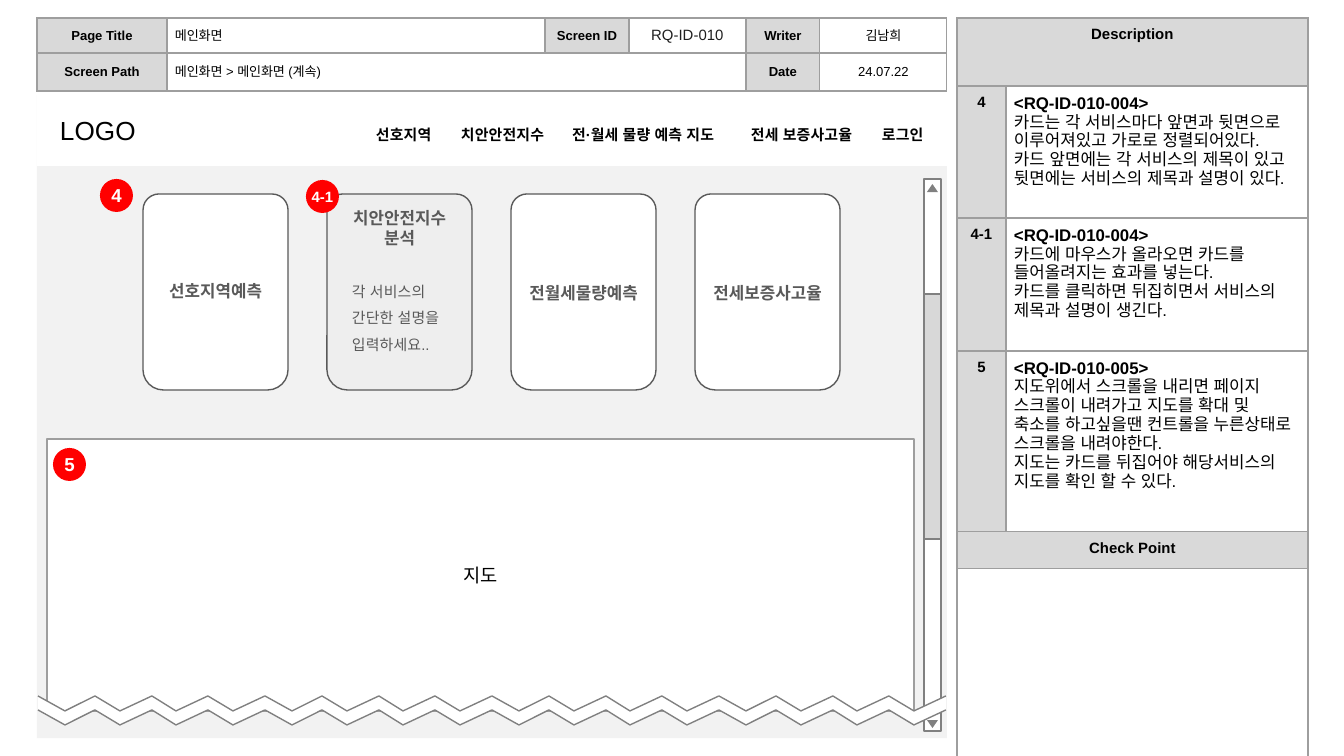
"""Build a wireframe specification slide for the second part of a main screen."""
import pptx
import pptx.util
import pptx.oxml.ns
import pptx.dml.color
import pptx.enum.shapes
import pptx.enum.text
import lxml.etree

PX = 6804
FONT = "Arial"
COLORS = {
    "white": "FFFFFF", "black": "000000", "red": "FF0000", "page": "F2F2F2",
    "label": "D9D9D9", "thumb": "D8D8D8", "flipped": "EEEEEE", "border": "9E9E9E",
    "control": "808080", "card": "595959", "identifier": "1F1F1F",
}
SHAPES = pptx.enum.shapes.MSO_SHAPE
ALIGN = pptx.enum.text.PP_ALIGN
MIDDLE = pptx.enum.text.MSO_ANCHOR.MIDDLE
TOP = pptx.enum.text.MSO_ANCHOR.TOP

presentation = pptx.Presentation()
presentation.slide_width = 1344 * PX
presentation.slide_height = 756 * PX
slide = presentation.slides.add_slide(presentation.slide_layouts[6])


def rgb(name):
    return pptx.dml.color.RGBColor.from_string(COLORS[name])


def add_text(paragraph, text, size=8, bold=False, color="black", align=ALIGN.CENTER, spacing=None):
    paragraph.alignment = align
    paragraph.line_spacing = spacing
    run = paragraph.add_run()
    run.text = text
    run.font.size = pptx.util.Pt(size)
    run.font.bold = bold
    run.font.color.rgb = rgb(color)
    run.font.name = FONT
    east_asian = lxml.etree.SubElement(run.font._element, pptx.oxml.ns.qn("a:ea"))
    east_asian.set("typeface", FONT)


def add_box(kind, left, top, width, height, fill=None, line=None, margin=13):
    bounds = [length * PX for length in (left, top, width, height)]
    if kind is None:
        shape = slide.shapes.add_textbox(*bounds)
    else:
        shape = slide.shapes.add_shape(kind, *bounds)
        shape.shadow.inherit = False
        shape.fill.solid()
        shape.fill.fore_color.rgb = rgb(fill)
        if line:
            shape.line.color.rgb = rgb(line)
            shape.line.width = pptx.util.Pt(0.75)
        else:
            shape.line.fill.background()
    frame = shape.text_frame
    frame.word_wrap = True
    frame.vertical_anchor = MIDDLE
    frame.margin_left = frame.margin_right = margin * PX
    frame.margin_top = frame.margin_bottom = margin * PX
    return shape


add_box(SHAPES.RECTANGLE, 37, 95, 910, 643, "page")

add_box(SHAPES.RECTANGLE, 924, 179, 17, 552, "white", "control")
add_box(SHAPES.ISOSCELES_TRIANGLE, 927, 184, 11, 8, "control")
down_arrow = add_box(SHAPES.ISOSCELES_TRIANGLE, 927, 720, 11, 8, "control")
down_arrow.rotation = 180
add_box(SHAPES.RECTANGLE, 924, 294, 17, 245, "thumb", "control")

cards = [
    ("선호지역예측", 267, 47, "white"),
    ("치안안전지수 분석", 194, 67, "flipped"),
    ("전월세물량예측", 269, 47, "white"),
    ("전세보증사고율", 269, 47, "white"),
]
for index, (title, title_top, title_height, fill) in enumerate(cards):
    left = 143 + index * 184
    card = add_box(SHAPES.ROUND_2_SAME_RECTANGLE, left, 194, 145, 196, fill, "card")
    card.adjustments[0] = 0.11
    card.adjustments[1] = 0.14
    title_box = add_box(None, left, title_top, 145, title_height)
    add_text(title_box.text_frame.paragraphs[0], title, size=9, bold=True, color="card")
summary = add_box(None, 339, 261, 122, 105)
add_text(summary.text_frame.paragraphs[0], "각 서비스의 간단한 설명을 입력하세요..",
         color="card", align=ALIGN.LEFT, spacing=1.5)

map_area = add_box(SHAPES.RECTANGLE, 47, 439, 867, 272, "white", "border")
add_text(map_area.text_frame.paragraphs[0], "지도", size=10)

header = add_box(SHAPES.RECTANGLE, 37, 94, 910, 72, "white")
header.text_frame.margin_left = 23 * PX
menu = header.text_frame.paragraphs[0]
add_text(menu, "LOGO", size=14, align=ALIGN.LEFT)
add_text(menu, "\t선호지역\t치안안전지수\t전·월세 물량 예측 지도\t전세 보증사고율\t로그인",
         bold=True, align=ALIGN.LEFT)
tab_list = lxml.etree.SubElement(menu._p.get_or_add_pPr(), pptx.oxml.ns.qn("a:tabLst"))
for position in (316, 401, 512, 691, 822):
    tab = lxml.etree.SubElement(tab_list, pptx.oxml.ns.qn("a:tab"))
    tab.set("pos", str(position * PX))
    tab.set("algn", "l")

for tile in range(4):
    columns = [38 + tile * 227 + offset for offset in (0, 27, 57, 82, 114, 138, 170, 195, 227)]
    upper = [(x, 711 if index % 2 else 696) for index, x in enumerate(columns)]
    lower = [(x, y + 14) for x, y in upper]
    band_builder = slide.shapes.build_freeform(*upper[0], scale=PX)
    band_builder.add_line_segments(upper[1:] + lower[::-1], close=True)
    band = band_builder.convert_to_shape()
    band.shadow.inherit = False
    band.fill.solid()
    band.fill.fore_color.rgb = rgb("white")
    band.line.fill.background()
    edge_builder = slide.shapes.build_freeform(*upper[0], scale=PX)
    edge_builder.add_line_segments(upper[1:], close=False)
    edge_builder.move_to(*lower[0])
    edge_builder.add_line_segments(lower[1:], close=False)
    edges = edge_builder.convert_to_shape()
    edges.shadow.inherit = False
    edges.fill.background()
    edges.line.color.rgb = rgb("control")
    edges.line.width = pptx.util.Pt(0.75)

for label, left, top, size in (("4", 100, 179, 10), ("5", 53, 448, 10), ("4-1", 306, 180, 8)):
    badge = add_box(SHAPES.OVAL, left, top, 33, 33, "red", margin=0)
    add_text(badge.text_frame.paragraphs[0], label, size=size, bold=True, color="white")

description_rows = [
    ["Description", ""],
    ["4", "<RQ-ID-010-004>\n카드는 각 서비스마다 앞면과 뒷면으로 이루어져있고 가로로 정렬되어있다.\n"
          "카드 앞면에는 각 서비스의 제목이 있고 뒷면에는 서비스의 제목과 설명이 있다."],
    ["4-1", "<RQ-ID-010-004>\n카드에 마우스가 올라오면 카드를 들어올려지는 효과를 넣는다.\n"
            "카드를 클릭하면 뒤집히면서 서비스의 제목과 설명이 생긴다."],
    ["5", "<RQ-ID-010-005>\n지도위에서 스크롤을 내리면 페이지 스크롤이 내려가고 지도를 확대 및 "
          "축소를 하고싶을땐 컨트롤을 누른상태로 스크롤을 내려야한다.\n"
          "지도는 카드를 뒤집어야 해당서비스의 지도를 확인 할 수 있다."],
    ["Check Point", ""],
    ["", ""],
]
page_rows = [
    ["Page Title", "메인화면", "Screen ID", "RQ-ID-010", "Writer", "김남희"],
    ["Screen Path", "메인화면 > 메인화면 (계속)", "", "", "Date", "24.07.22"],
]
tables = [
    (957, description_rows, [49, 302], [68, 132, 133, 181, 37, 191],
     [(0, 0, 1), (4, 0, 1), (5, 0, 1)], TOP, 8),
    (37, page_rows, [130, 378, 84, 117, 74, 127], [35, 38], [(1, 1, 3)], MIDDLE, 7),
]
for left, rows, widths, heights, merges, anchor, label_size in tables:
    frame = slide.shapes.add_table(len(rows), len(widths), left * PX, 18 * PX,
                                   sum(widths) * PX, sum(heights) * PX)
    table = frame.table
    table.first_row = table.horz_banding = False
    for column, width in zip(table.columns, widths):
        column.width = width * PX
    for row, height in zip(table.rows, heights):
        row.height = height * PX
    for row, first, last in merges:
        table.cell(row, first).merge(table.cell(row, last))
    for row_index, texts in enumerate(rows):
        for column_index, text in enumerate(texts):
            cell = table.cell(row_index, column_index)
            cell.margin_left = cell.margin_right = cell.margin_top = cell.margin_bottom = 8 * PX
            cell.vertical_anchor = anchor
            properties = cell._tc.get_or_add_tcPr()
            for side in ("lnL", "lnR", "lnT", "lnB"):
                border = lxml.etree.SubElement(properties, pptx.oxml.ns.qn("a:" + side), w="9525")
                solid = lxml.etree.SubElement(border, pptx.oxml.ns.qn("a:solidFill"))
                lxml.etree.SubElement(solid, pptx.oxml.ns.qn("a:srgbClr"), val=COLORS["border"])
            is_label = column_index % 2 == 0 and text != ""
            cell.fill.solid()
            cell.fill.fore_color.rgb = rgb("label" if is_label else "white")
            for line_index, line in enumerate(text.split("\n") if text else []):
                if line_index:
                    paragraph = cell.text_frame.add_paragraph()
                else:
                    paragraph = cell.text_frame.paragraphs[0]
                if is_label:
                    add_text(paragraph, line, size=label_size, bold=True)
                elif rows is description_rows:
                    add_text(paragraph, line, size=9, bold=line_index == 0, align=ALIGN.LEFT)
                elif line == "RQ-ID-010":
                    add_text(paragraph, line, color="identifier")
                else:
                    add_text(paragraph, line, size=7,
                             align=ALIGN.LEFT if column_index == 1 else ALIGN.CENTER)

presentation.save("out.pptx")
